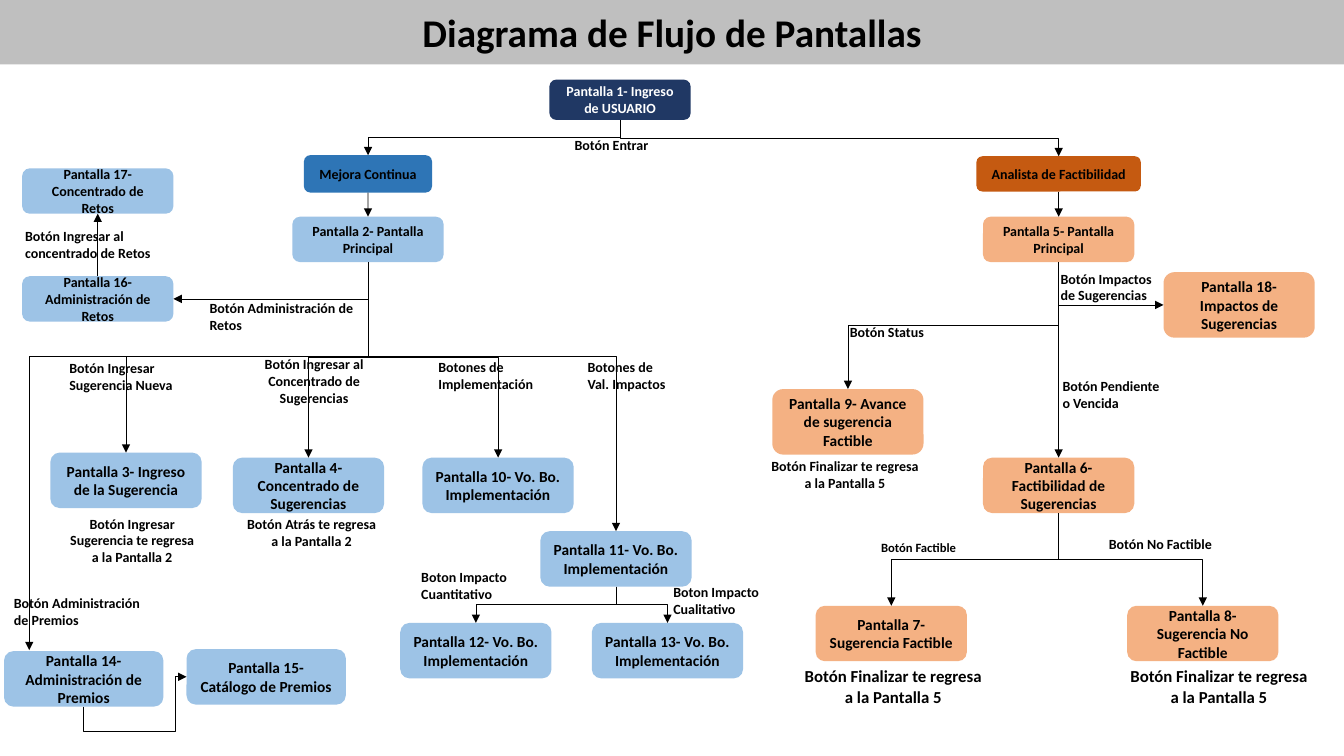
import lxml.etree
import pptx
import pptx.dml.color
import pptx.enum.shapes
import pptx.enum.text
import pptx.oxml.ns
import pptx.util

RGBColor = pptx.dml.color.RGBColor
BLACK, WHITE = RGBColor(0, 0, 0), RGBColor(255, 255, 255)
BANNER = RGBColor(0xBF, 0xBF, 0xBF)
NAVY = RGBColor(0x20, 0x38, 0x64)
BLUE = RGBColor(0x2E, 0x75, 0xB6)
SKY = RGBColor(0x9D, 0xC3, 0xE6)
RUST = RGBColor(0xC5, 0x5A, 0x11)
PEACH = RGBColor(0xF4, 0xB1, 0x83)

TITLE = "Diagrama de Flujo de Pantallas"
FONT = "Calibri"
WIDTH, HEIGHT, BANNER_HEIGHT = 13.33, 7.5, 0.64

# Grid: column centres and row tops, in inches
ENTRY, MEJORA, ANALISTA, RETOS = 6.15, 3.65, 10.5, 0.97
PRINCIPAL_ROW, IMPLEMENT_ROW, IMPACT_ROW, FACTIBLE_ROW = 2.15, 4.54, 6.18, 6.01
MENU_LINE = 3.54  # height of the line shared by the Pantalla 2 branches

# Box sizes: width, height, text size
SMALL, NORMAL, TALL, WIDE = (1.5, 0.45, 10), (1.5, 0.55, 11), (1.5, 0.65, 11), (1.58, 0.55, 11)

# Key: text, column centre, row top, size, fill
BOXES = {
    1: ("Pantalla 1- Ingreso de USUARIO", ENTRY, 0.79, (1.4, 0.4, 10), NAVY),
    "mejora": ("Mejora Continua", MEJORA, 1.54, (1.27, 0.37, 10), BLUE),
    "analista": ("Analista de Factibilidad", ANALISTA, 1.55, (1.63, 0.35, 10), RUST),
    2: ("Pantalla 2- Pantalla Principal", MEJORA, PRINCIPAL_ROW, SMALL, SKY),
    3: ("Pantalla 3- Ingreso de la Sugerencia", 1.25, 4.49, NORMAL, SKY),
    4: ("Pantalla 4- Concentrado de Sugerencias", 3.06, IMPLEMENT_ROW, NORMAL, SKY),
    5: ("Pantalla 5- Pantalla Principal", ANALISTA, PRINCIPAL_ROW, SMALL, PEACH),
    6: ("Pantalla 6- Factibilidad de Sugerencias", ANALISTA, IMPLEMENT_ROW, NORMAL, PEACH),
    7: ("Pantalla 7- Sugerencia Factible", 8.84, FACTIBLE_ROW, NORMAL, PEACH),
    8: ("Pantalla 8- Sugerencia No Factible", 11.93, FACTIBLE_ROW, NORMAL, PEACH),
    9: ("Pantalla 9- Avance de sugerencia Factible", 8.41, 3.86, TALL, PEACH),
    10: ("Pantalla 10- Vo. Bo. Implementación", 4.94, IMPLEMENT_ROW, NORMAL, SKY),
    11: ("Pantalla 11- Vo. Bo. Implementación", 6.11, 5.27, NORMAL, SKY),
    12: ("Pantalla 12- Vo. Bo. Implementación", 4.72, IMPACT_ROW, NORMAL, SKY),
    13: ("Pantalla 13- Vo. Bo. Implementación", 6.62, IMPACT_ROW, NORMAL, SKY),
    14: ("Pantalla 14- Administración de Premios", 0.83, 6.46, WIDE, SKY),
    15: ("Pantalla 15- Catálogo de Premios", 2.64, 6.44, WIDE, SKY),
    16: ("Pantalla 16- Administración de Retos", RETOS, 2.74, SMALL, SKY),
    17: ("Pantalla 17- Concentrado de Retos", RETOS, 1.67, SMALL, SKY),
    18: ("Pantalla 18- Impactos de Sugerencias", 12.29, 2.7, TALL, PEACH),
}

# Sides of a box: connection number and place as shares of its size
TOP, LEFT, BOTTOM, RIGHT = range(4)
SIDES = {TOP: (0.5, 0), LEFT: (0, 0.5), BOTTOM: (0.5, 1), RIGHT: (1, 0.5)}

# From, side, to, side
STRAIGHT_ARROWS = [
    ("mejora", BOTTOM, 2, TOP), ("analista", BOTTOM, 5, TOP),
    (5, BOTTOM, 6, TOP), (16, TOP, 17, BOTTOM),
]
# From, to (box or point), side, turning lines (y, then x; None is halfway)
BENT_ARROWS = [
    (1, "mejora", TOP, [None]), (1, "analista", TOP, [None]),
    (2, 3, TOP, [MENU_LINE]), (2, 4, TOP, [MENU_LINE]),
    (2, 10, TOP, [MENU_LINE]), (2, 11, TOP, [MENU_LINE]),
    (2, (0.29, 6.45), None, [MENU_LINE]), (2, 16, RIGHT, []),
    (5, 18, LEFT, []), (5, 9, TOP, [None]),
    (6, 7, TOP, [None]), (6, 8, TOP, [None]),
    (11, 12, TOP, [None]), (11, 13, TOP, [None]),
    (14, 15, LEFT, [7.26, 1.74]),
]

# Text, left, top, width, height, text size
LEFT_LABELS = [
    ("Botón Entrar", 5.6, 1.31, 0.95, 0.27, 10),
    ("Botón Ingresar\nSugerencia Nueva", 0.59, 3.52, 1.24, 0.44, 10),
    ("Botón Pendiente\no Vencida", 10.44, 3.7, 1.26, 0.45, 10),
    ("Botón Factible", 8.64, 5.31, 0.96, 0.25, 9),
    ("Botón No Factible", 10.9, 5.26, 1.29, 0.28, 10),
    ("Botón Status", 8.33, 3.16, 0.95, 0.27, 10),
    ("Botones de\nImplementación", 4.25, 3.51, 1.2, 0.45, 10),
    ("Botones de\nVal. Impactos", 5.73, 3.51, 0.99, 0.44, 10),
    ("Boton Impacto\nCuantitativo", 4.08, 5.59, 1.1, 0.45, 10),
    ("Boton Impacto\nCualitativo", 6.58, 5.74, 1.06, 0.44, 10),
    ("Botón Administración\nde Premios", 0.04, 5.85, 1.47, 0.44, 10),
    ("Botón Ingresar al\nconcentrado de Retos", 0.15, 2.21, 1.47, 0.44, 10),
    ("Botón Impactos\nde Sugerencias", 10.42, 2.63, 1.15, 0.44, 10),
]
WRAPPED_LABELS = [("Botón Administración de Retos", 1.98, 2.92, 1.72, 0.44, 10)]
FINISH = "Botón Finalizar te regresa\na la Pantalla 5"
CENTRED_LABELS = [
    ("Botón Ingresar al\nConcentrado de\nSugerencias", 2.5, 3.48, 1.23, 0.61, 10),
    ("Botón Ingresar\nSugerencia te regresa\na la Pantalla 2", 0.57, 5.06, 1.48, 0.61, 10),
    ("Botón Atrás te regresa\na la Pantalla 2", 2.32, 5.07, 1.54, 0.44, 10),
    (FINISH, 7.85, 6.56, 2.02, 0.5, 12),
    (FINISH, 11.08, 6.56, 2.02, 0.5, 12),
    (FINISH, 7.52, 4.49, 1.72, 0.44, 10),
]

inches, qn = pptx.util.Inches, pptx.oxml.ns.qn
ALIGN = pptx.enum.text.PP_ALIGN
CONNECTOR = pptx.enum.shapes.MSO_CONNECTOR


def write(box, text, size, align, color=BLACK):
    box.text_frame.text = text
    for para in box.text_frame.paragraphs:
        para.alignment = align
        para.font.name, para.font.size = FONT, pptx.util.Pt(size)
        para.font.bold, para.font.color.rgb = True, color


def add_box(page, text, centre, top, size, fill):
    width, height, points = size
    box = page.shapes.add_shape(
        pptx.enum.shapes.MSO_SHAPE.ROUNDED_RECTANGLE,
        *map(inches, (centre - width / 2, top, width, height)))
    box.shadow.inherit = False
    box.fill.solid()
    box.fill.fore_color.rgb = fill
    box.line.fill.background()
    box.text_frame.word_wrap = True
    box.text_frame.vertical_anchor = pptx.enum.text.MSO_ANCHOR.MIDDLE
    write(box, text, points, ALIGN.CENTER, WHITE if fill == NAVY else BLACK)
    return box


def add_label(page, text, left, top, width, height, size, align, wrap):
    label = page.shapes.add_textbox(*map(inches, (left, top, width, height)))
    label.text_frame.word_wrap = wrap
    label.text_frame.auto_size = pptx.enum.text.MSO_AUTO_SIZE.SHAPE_TO_FIT_TEXT
    write(label, text, size, align)


def style_arrow(arrow):
    arrow.line.color.rgb = BLACK
    arrow.line.width = pptx.util.Pt(0.5)
    outline = arrow.element.spPr.find(qn("a:ln"))
    lxml.etree.SubElement(outline, qn("a:tailEnd"), type="triangle")
    lxml.etree.SubElement(arrow.element.spPr, qn("a:effectLst"))


def side_point(box, side):
    across, down = SIDES[side]
    return box.left + int(box.width * across), box.top + int(box.height * down)


def add_bent_arrow(page, source, target, side, turns):
    """Leave the bottom of source and bend at each turning line."""
    x1, y1 = side_point(source, BOTTOM)
    x2, y2 = map(inches, target) if side is None else side_point(target, side)
    arrow = page.shapes.add_connector(CONNECTOR.ELBOW, x1, y1, x2, y2)
    arrow.begin_connect(source, BOTTOM)
    if side is not None:
        arrow.end_connect(target, side)

    # A quarter turn makes the first stretch vertical
    arrow.width, arrow.height = abs(y2 - y1), abs(x2 - x1)
    arrow.left = (x1 + x2 - arrow.width) // 2
    arrow.top = (y1 + y2 - arrow.height) // 2
    rightward, upward = x2 > x1, y2 < y1
    frame = arrow.element.spPr.find(qn("a:xfrm"))
    frame.set("rot", "16200000" if rightward and not upward else "5400000")
    frame.set("flipH", str(int(rightward)))
    frame.set("flipV", str(int(upward)))

    # Turning lines become shares of the distance covered
    geometry = arrow.element.spPr.find(qn("a:prstGeom"))
    geometry.set("prst", f"bentConnector{len(turns) + 2}")
    spans = [(y1, y2), (x1, x2)]
    for number, (turn, (start, end)) in enumerate(zip(turns, spans), 1):
        share = 0.5 if turn is None else (inches(turn) - start) / (end - start)
        lxml.etree.SubElement(geometry.find(qn("a:avLst")), qn("a:gd"),
                              name=f"adj{number}", fmla=f"val {round(share * 100000)}")
    style_arrow(arrow)


def main():
    deck = pptx.Presentation()
    deck.slide_width, deck.slide_height = inches(WIDTH), inches(HEIGHT)
    page = deck.slides.add_slide(deck.slide_layouts[5])

    # Title banner
    title = page.shapes.title
    title.left, title.top = 0, 0
    title.width, title.height = deck.slide_width, inches(BANNER_HEIGHT)
    title.fill.solid()
    title.fill.fore_color.rgb = BANNER
    title.text_frame.vertical_anchor = pptx.enum.text.MSO_ANCHOR.MIDDLE
    write(title, TITLE, 28, ALIGN.CENTER)

    # Screens
    boxes = {key: add_box(page, *box) for key, box in BOXES.items()}

    # Arrows
    for source, start, target, end in STRAIGHT_ARROWS:
        arrow = page.shapes.add_connector(CONNECTOR.STRAIGHT, 0, 0, 0, 0)
        arrow.begin_connect(boxes[source], start)
        arrow.end_connect(boxes[target], end)
        style_arrow(arrow)
    for source, target, side, turns in BENT_ARROWS:
        add_bent_arrow(page, boxes[source], boxes.get(target, target), side, turns)

    # Button labels
    for labels, align, wrap in ((LEFT_LABELS, ALIGN.LEFT, False),
                                (WRAPPED_LABELS, ALIGN.LEFT, True),
                                (CENTRED_LABELS, ALIGN.CENTER, False)):
        for label in labels:
            add_label(page, *label, align, wrap)

    deck.save("out.pptx")


if __name__ == "__main__":
    main()
